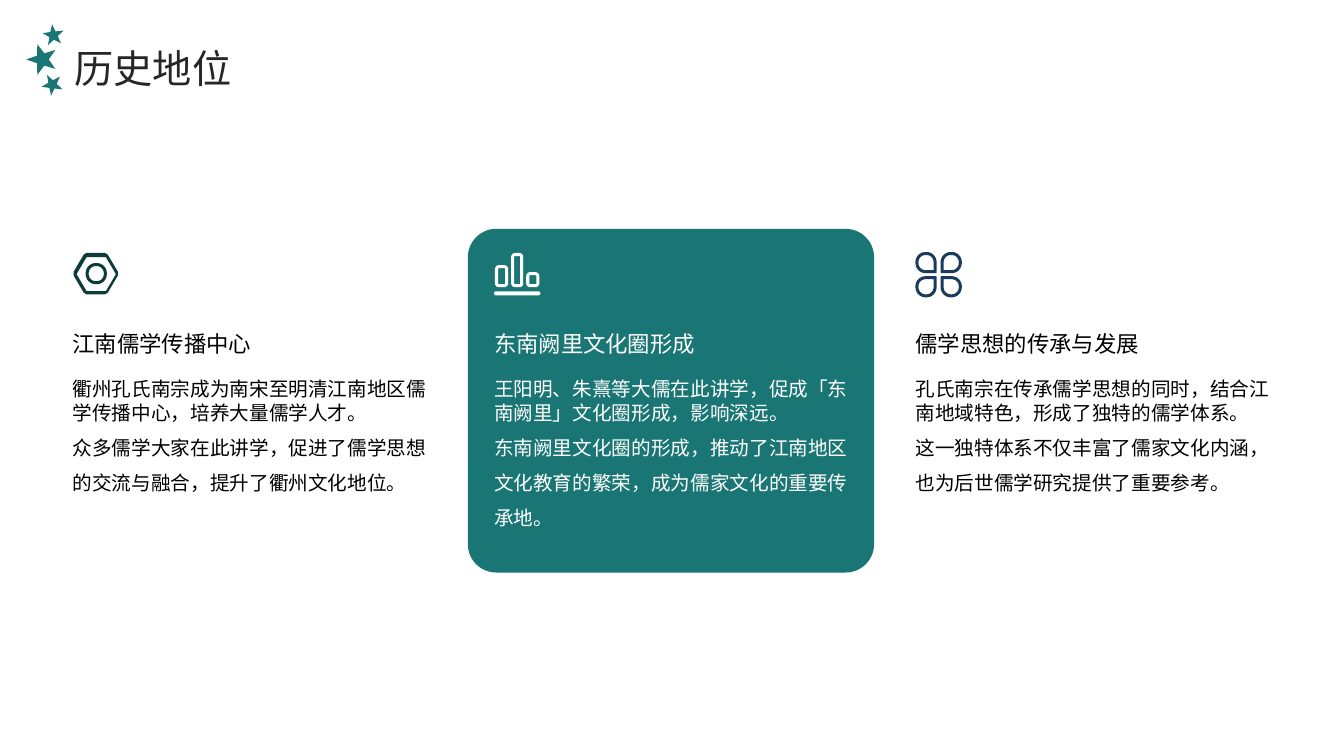
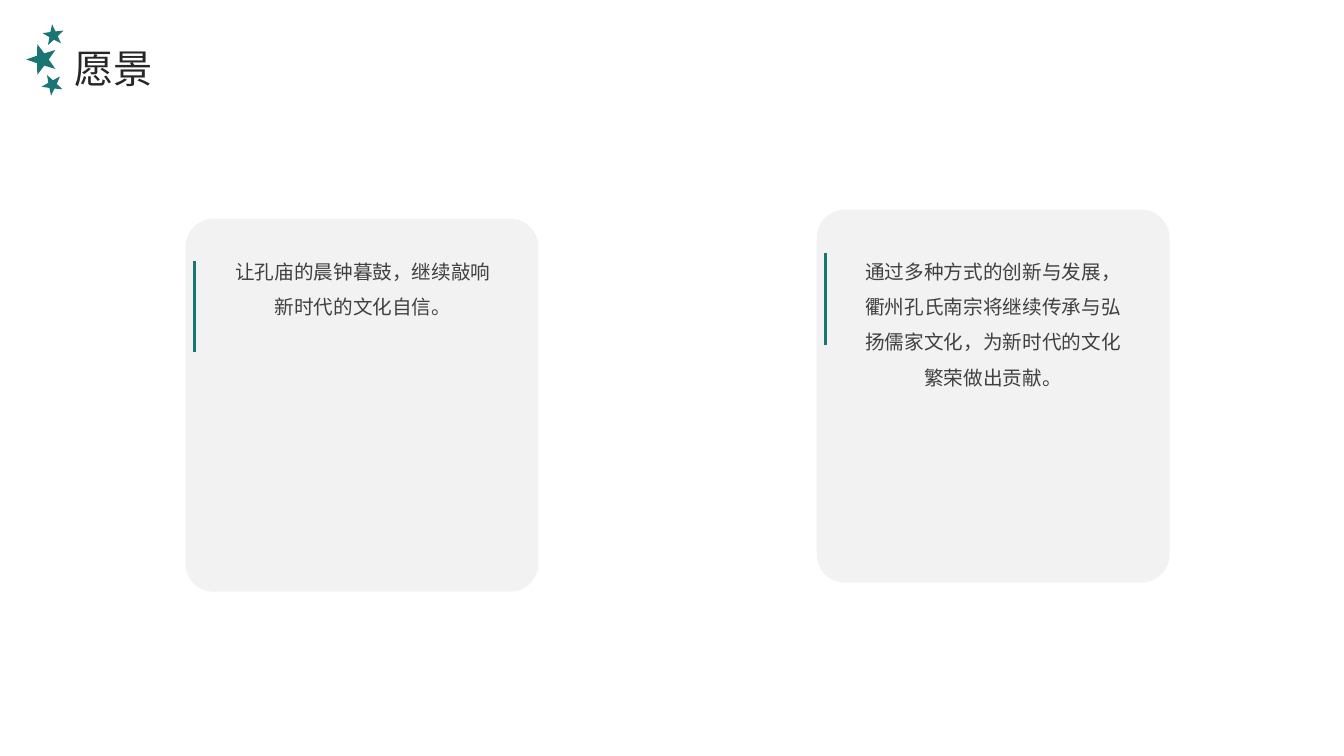
from dataclasses import dataclass
from math import cos, radians, sin

from lxml.etree import SubElement
from pptx import Presentation
from pptx.dml.color import RGBColor
from pptx.enum.shapes import MSO_CONNECTOR as Connector, MSO_SHAPE as Preset
from pptx.enum.text import MSO_ANCHOR as Anchor, MSO_AUTO_SIZE as AutoSize, PP_ALIGN as Align
from pptx.oxml.ns import qn
from pptx.util import Inches, Pt


@dataclass(frozen=True)
class Theme:
    font: str = "Noto Sans CJK SC"
    teal: str = "1A7674"
    dark_teal: str = "0D3B3A"
    navy: str = "1A3B5B"
    white: str = "FFFFFF"
    black: str = "000000"
    title: str = "262626"
    card: str = "F2F2F2"
    card_text: str = "404040"
    title_size: int = 28
    heading_size: int = 16
    body_size: int = 14
    accent_stroke: float = 2.25


THEME = Theme()
TITLE_LEFT = 0.74
COLUMN_LEFT, COLUMN_STEP, COLUMN_WIDTH = 0.72, 4.18, 3.51
ICON_TOP, HEADING_TOP, BODY_TOP = 2.5, 3.04, 3.74
ICON_STROKE = 0.03
CARD_SIZE = 3.5, 3.7
STARS = [(0.53, 0.35, 0.11, 263), (0.42, 0.59, 0.16, 180), (0.52, 0.84, 0.11, 97)]


def rounded(x, y, width, height, radii):
    signs = [(1, 1), (-1, 1), (-1, -1), (1, -1)]
    corners = [(x, y), (x + width, y), (x + width, y + height), (x, y + height)]
    points = []
    for index, ((cx, cy), (sx, sy), radius) in enumerate(zip(corners, signs, radii)):
        for step in range(9 if radius else 1):
            turn = radians(180 + 90 * index + 11.25 * step)
            points.append((cx + radius * (sx + cos(turn)), cy + radius * (sy + sin(turn))))
    return points


def ring(x, y, width, height, radii):
    gap = ICON_STROKE
    inner = [max(radius - gap, 0) for radius in radii]
    return [rounded(x, y, width, height, radii),
            rounded(x + gap, y + gap, width - 2 * gap, height - 2 * gap, inner)]


def hexagon(x, y, width, height, slant, cut):
    middle, right, bottom = y + height / 2, x + width, y + height
    corners = [(x, middle), (x + slant, y), (right - slant, y),
               (right, middle), (right - slant, bottom), (x + slant, bottom)]
    points = []
    for index, (cx, cy) in enumerate(corners):
        for nx, ny in (corners[index - 1], corners[(index + 1) % 6]):
            points.append((cx + cut * (nx - cx), cy + cut * (ny - cy)))
    return points


def star(x, y, radius, angle):
    points = []
    for step in range(10):
        reach = radius * (0.4 if step % 2 else 1)
        turn = radians(angle + 36 * step)
        points.append((x + reach * cos(turn), y + reach * sin(turn)))
    return points


NUT_ICON = [
    hexagon(0, 0.01, 0.46, 0.41, 0.12, 0.08),
    hexagon(0.04, 0.05, 0.39, 0.34, 0.1, 0),
    *ring(0.13, 0.11, 0.21, 0.21, [0.1] * 4),
]
CHART_ICON = [
    *ring(0.01, 0.13, 0.13, 0.22, [0.04] * 4),
    *ring(0.17, 0.01, 0.12, 0.34, [0.04] * 4),
    *ring(0.32, 0.2, 0.13, 0.15, [0.04] * 4),
    rounded(0, 0.39, 0.46, 0.04, [0.02] * 4),
]
PETALS = [(0, 0, 2), (0.25, 0, 3), (0.25, 0.24, 0), (0, 0.24, 1)]
CLOVER_ICON = [
    outline
    for x, y, pointed in PETALS
    for outline in ring(x, y, 0.21, 0.21, [0.01 if corner == pointed else 0.1 for corner in range(4)])
]

COLUMNS = [
    ("江南儒学传播中心",
     ["衢州孔氏南宗成为南宋至明清江南地区儒学传播中心，培养大量儒学人才。",
      "众多儒学大家在此讲学，促进了儒学思想的交流与融合，提升了衢州文化地位。"],
     NUT_ICON, THEME.dark_teal, THEME.black),
    ("东南阙里文化圈形成",
     ["王阳明、朱熹等大儒在此讲学，促成「东南阙里」文化圈形成，影响深远。",
      "东南阙里文化圈的形成，推动了江南地区文化教育的繁荣，成为儒家文化的重要传承地。"],
     CHART_ICON, THEME.white, THEME.white),
    ("儒学思想的传承与发展",
     ["孔氏南宗在传承儒学思想的同时，结合江南地域特色，形成了独特的儒学体系。",
      "这一独特体系不仅丰富了儒家文化内涵，也为后世儒学研究提供了重要参考。"],
     CLOVER_ICON, THEME.navy, THEME.black),
]
HIGHLIGHTED = 1

VISIONS = [
    (1.84, 2.17, 2.6, 2.16, "让孔庙的晨钟暮鼓，继续敲响新时代的文化自信。"),
    (8.1, 2.08, 2.53, 8.41, "通过多种方式的创新与发展，衢州孔氏南宗将继续传承与弘扬儒家文化，为新时代的文化繁荣做出贡献。"),
]


def inches(*values):
    return [Inches(value) for value in values]


def rgb(color):
    return RGBColor.from_string(color)


def write(box, lines, size, color, spacings, inset=(0, 0), align=Align.LEFT, anchor=Anchor.TOP):
    frame = box.text_frame
    frame.text = "\n".join(lines)
    frame.word_wrap = True
    frame.auto_size = AutoSize.NONE
    frame.vertical_anchor = anchor
    frame.margin_left = frame.margin_right = Inches(inset[0])
    frame.margin_top = frame.margin_bottom = Inches(inset[1])
    for para, spacing in zip(frame.paragraphs, spacings):
        para.alignment = align
        para.line_spacing = spacing
        para.space_before = Pt(0)
        for span in para.runs:
            span.font.size = Pt(size)
            span.font.name = THEME.font
            span.font.color.rgb = rgb(color)
            SubElement(span.font._element, qn("a:ea"), typeface=THEME.font)


def add_text(page, place, *content, **style):
    write(page.shapes.add_textbox(*inches(*place)), *content, **style)


def paint(shape, color):
    shape.shadow.inherit = False
    shape.fill.solid()
    shape.fill.fore_color.rgb = rgb(color)
    shape.line.fill.background()


def add_card(page, place, color, rounding):
    card = page.shapes.add_shape(Preset.ROUNDED_RECTANGLE, *inches(*place))
    card.adjustments[0] = rounding
    paint(card, color)


def add_outlines(page, left, top, outlines, color):
    first, *others = [[tuple(inches(left + x, top + y)) for x, y in outline] for outline in outlines]
    builder = page.shapes.build_freeform(*first[0], scale=1.0)
    builder.add_line_segments(first[1:], close=True)
    for points in others:
        builder.move_to(*points[0])
        builder.add_line_segments(points[1:], close=True)
    paint(builder.convert_to_shape(), color)


def add_accent(page, x, top, length):
    accent = page.shapes.add_connector(Connector.STRAIGHT, *inches(x, top, x, top + length))
    accent.line.color.rgb = rgb(THEME.teal)
    accent.line.width = Pt(THEME.accent_stroke)
    properties = accent._element.spPr
    properties.find(qn("a:ln")).set("cap", "sq")
    SubElement(properties, qn("a:effectLst"))


def add_page(deck, title):
    page = deck.slides.add_slide(deck.slide_layouts[5])
    box = page.shapes.title
    box.left, box.top, box.width, box.height = inches(TITLE_LEFT, 0.3, 11.35, 0.59)
    write(box, [title], THEME.title_size, THEME.title, [1.3])
    add_outlines(page, 0, 0, [star(*place) for place in STARS], THEME.teal)
    return page


def build_history(deck):
    page = add_page(deck, "历史地位")
    for index, (heading, body, icon, icon_color, text_color) in enumerate(COLUMNS):
        left = COLUMN_LEFT + index * COLUMN_STEP
        if index == HIGHLIGHTED:
            add_card(page, (left - 0.26, 2.27, 4.03, 3.41), THEME.teal, 0.083)
        add_outlines(page, left, ICON_TOP, icon, icon_color)
        add_text(page, (left, HEADING_TOP, COLUMN_WIDTH, 0.65), [heading],
                 THEME.heading_size, text_color, [1.3], anchor=Anchor.MIDDLE)
        add_text(page, (left, BODY_TOP, COLUMN_WIDTH, 1.62), body,
                 THEME.body_size, text_color, [1.0, 1.5])


def build_vision(deck):
    page = add_page(deck, "愿景")
    for left, top, accent_top, text_left, text in VISIONS:
        add_card(page, (left, top, *CARD_SIZE), THEME.card, 0.08)
        add_accent(page, left + 0.09, accent_top, 0.88)
        add_text(page, (text_left, 2.41, 2.88, 3.04), [text], THEME.body_size,
                 THEME.card_text, [1.5], inset=(0.1, 0.05), align=Align.CENTER)


def main():
    deck = Presentation()
    deck.slide_width, deck.slide_height = inches(13.33, 7.5)
    build_history(deck)
    build_vision(deck)
    deck.save("out.pptx")


if __name__ == "__main__":
    main()
